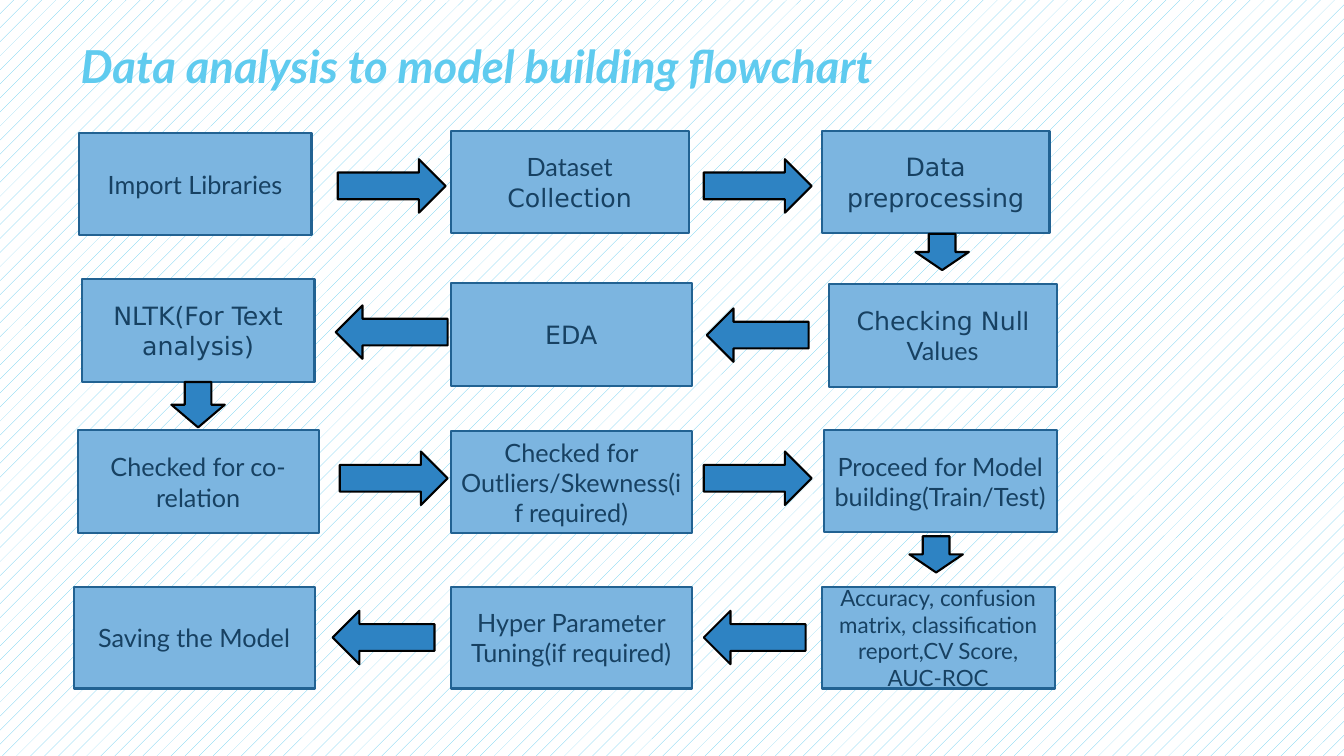
from dataclasses import dataclass

from pptx import Presentation
from pptx import util as u
from pptx.dml.color import RGBColor
from pptx.enum import dml, shapes, text

COLOURS = {
    "accent": "5FCBEF",
    "paper": "FFFFFF",
    "step": "7CB5E0",
    "step_line": "226292",
    "step_text": "174162",
    "arrow": "2E83C3",
    "arrow_line": "000000",
}
LATO, DEJAVU = "Lato", "DejaVu Sans"
PROCESS = shapes.MSO_SHAPE.FLOWCHART_PROCESS
RIGHT = shapes.MSO_SHAPE.RIGHT_ARROW
LEFT = shapes.MSO_SHAPE.LEFT_ARROW
DOWN = shapes.MSO_SHAPE.DOWN_ARROW
ARROW_BREADTH = 0.53


@dataclass(frozen=True)
class Step:
    left: float
    top: float
    width: float
    spans: tuple[tuple[str, str], ...]  # wording and font
    height: float = 1.01
    size: int = 18
    kind: shapes.MSO_SHAPE = PROCESS


@dataclass(frozen=True)
class Arrow:
    kind: shapes.MSO_SHAPE
    left: float
    top: float
    length: float


STEPS = (
    Step(0.78, 1.32, 2.31, (("Import Libraries", LATO),), kind=shapes.MSO_SHAPE.RECTANGLE),
    Step(4.47, 1.3, 2.36, (("Dataset", LATO), (" Collection", DEJAVU))),
    Step(8.15, 1.3, 2.26, (("Data preprocessing", DEJAVU),)),
    Step(8.22, 2.82, 2.26, (("Checking Nul", DEJAVU), ("l Values", LATO)), height=1.02),
    Step(4.47, 2.81, 2.39, (("EDA", DEJAVU),), height=1.02),
    Step(0.81, 2.77, 2.31, (("NLTK(For Text analysis)", DEJAVU),), height=1.02),
    Step(0.77, 4.27, 2.39, (("Checked for co-relation", LATO),), height=1.02),
    Step(4.47, 4.28, 2.39, (("Checked for Outliers/Skewness(if required)", LATO),)),
    Step(8.17, 4.27, 2.31, (("Proceed for Model building(Train/Test)", LATO),)),
    Step(8.15, 5.82, 2.31,
         (("Accuracy, confusion matrix, classification report,CV Score, AUC-ROC", LATO),),
         size=16),
    Step(4.47, 5.82, 2.39, (("Hyper Parameter Tuning(if required)", LATO),)),
    Step(0.73, 5.82, 2.39, (("Saving the Model", LATO),)),
)

ARROWS = (
    Arrow(RIGHT, 3.35, 1.58, 1.07),
    Arrow(RIGHT, 6.98, 1.58, 1.07),
    Arrow(DOWN, 9.08, 2.32, 0.36),
    Arrow(LEFT, 7.01, 3.06, 1.01),
    Arrow(LEFT, 3.33, 3.03, 1.11),
    Arrow(DOWN, 1.7, 3.79, 0.45),
    Arrow(RIGHT, 3.37, 4.48, 1.07),
    Arrow(RIGHT, 6.98, 4.48, 1.07),
    Arrow(DOWN, 9.02, 5.32, 0.36),
    Arrow(LEFT, 6.98, 6.06, 1.01),
    Arrow(LEFT, 3.3, 6.06, 1.01),
)


def colour(name: str) -> RGBColor:
    return RGBColor.from_string(COLOURS[name])


def add_block(page, kind: shapes.MSO_SHAPE, left: float, top: float,
              width: float, height: float, fill: str):
    """Add a flat shape whose outline colour is named after its fill."""
    box = page.shapes.add_shape(
        kind, u.Inches(left), u.Inches(top), u.Inches(width), u.Inches(height))
    box.shadow.inherit = False
    box.fill.solid()
    box.fill.fore_color.rgb = colour(fill)
    box.line.color.rgb = colour(f"{fill}_line")
    box.line.width = u.Pt(1.5)
    return box


def add_step(page, step: Step) -> None:
    box = add_block(page, step.kind, step.left, step.top, step.width, step.height, "step")
    frame = box.text_frame
    frame.word_wrap = True
    frame.vertical_anchor = text.MSO_ANCHOR.MIDDLE
    para = frame.paragraphs[0]
    para.alignment = text.PP_ALIGN.CENTER
    for wording, font in step.spans:
        span = para.add_run()
        span.text = wording
        span.font.name = font
        span.font.size = u.Pt(step.size)
        span.font.color.rgb = colour("step_text")


def add_arrow(page, arrow: Arrow) -> None:
    width, height = arrow.length, ARROW_BREADTH
    if arrow.kind == DOWN:
        width, height = height, width
    add_block(page, arrow.kind, arrow.left, arrow.top, width, height, "arrow")


def set_title(page, wording: str) -> None:
    title = page.shapes.title
    title.left, title.top = u.Inches(0.7), u.Inches(0.33)
    title.width, title.height = u.Inches(9.4), u.Inches(0.83)
    frame = title.text_frame
    frame.text = wording
    frame.auto_size = text.MSO_AUTO_SIZE.NONE
    frame.vertical_anchor = text.MSO_ANCHOR.TOP
    para = frame.paragraphs[0]
    para.alignment = text.PP_ALIGN.LEFT
    font = para.runs[0].font
    font.name = LATO
    font.size = u.Pt(32.4)
    font.bold = font.italic = True
    font.color.rgb = colour("accent")


def set_background(page) -> None:
    fill = page.background.fill
    fill.patterned()
    fill.pattern = dml.MSO_PATTERN.PERCENT_5
    fill.fore_color.rgb = colour("accent")
    fill.back_color.rgb = colour("paper")


def main() -> None:
    deck = Presentation()
    deck.slide_width, deck.slide_height = u.Inches(13.33), u.Inches(7.5)
    page = deck.slides.add_slide(deck.slide_layouts.get_by_name("Title Only"))
    set_background(page)
    set_title(page, "Data analysis to model building flowchart")
    for step in STEPS:
        add_step(page, step)
    for arrow in ARROWS:
        add_arrow(page, arrow)
    deck.save("out.pptx")


if __name__ == "__main__":
    main()
